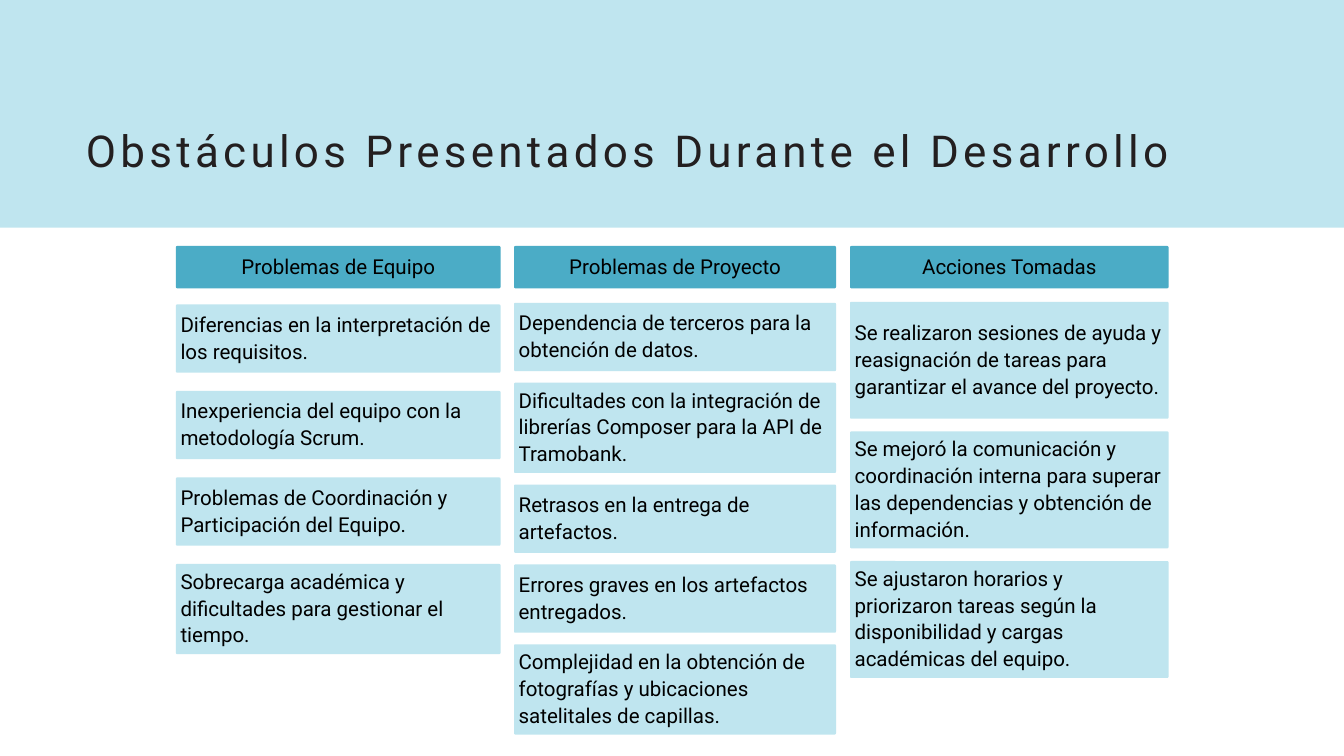
from pptx import Presentation
from pptx.dml.color import RGBColor
from pptx.enum import shapes, text
from pptx.util import Cm, Pt

PALE, TEAL, BLACK, INK = "BFE5EF", "4BACC6", "000000", "231F20"
TITLE = "Obstáculos Presentados Durante el Desarrollo"
COLUMNS = [
    dict(head="Problemas de Equipo", left=6.65, width=12.27, top=11.51, gap=0.69, cards=[
        ("Diferencias en la interpretación de los requisitos.", 2.58),
        ("Inexperiencia del equipo con la metodología Scrum.", 2.58),
        ("Problemas de Coordinación y Participación del Equipo.", 2.58),
        ("Sobrecarga académica y dificultades para gestionar el tiempo.", 3.41),
    ]),
    dict(head="Problemas de Proyecto", left=19.43, width=12.17, top=11.45, gap=0.44, cards=[
        ("Dependencia de terceros para la obtención de datos.", 2.58),
        ("Dificultades con la integración de librerías Composer para la API de Tramobank.", 3.41),
        ("Retrasos en la entrega de artefactos.", 2.58),
        ("Errores graves en los artefactos entregados.", 2.58),
        ("Complejidad en la obtención de fotografías y ubicaciones satelitales de capillas.", 3.41),
    ]),
    dict(head="Acciones Tomadas", left=32.13, width=12.04, top=11.41, gap=0.48, cards=[
        ("Se realizaron sesiones de ayuda y reasignación de tareas para garantizar "
         "el avance del proyecto.", 4.42),
        ("Se mejoró la comunicación y coordinación interna para superar las dependencias "
         "y obtención de información.", 4.42),
        ("Se ajustaron horarios y priorizaron tareas según la disponibilidad y cargas "
         "académicas del equipo.", 4.42),
    ]),
]
HEAD_TOP, HEAD_HEIGHT, RADIUS = 9.3, 1.6, 0.05


def rgb(value):
    return RGBColor.from_string(value)


def write(sp, words, size=22, color=BLACK, leading=28.6, spacing=0,
          align=text.PP_ALIGN.LEFT, anchor=text.MSO_ANCHOR.MIDDLE, insets=(0.16, 0, 0.16, 0.16)):
    tf = sp.text_frame
    tf.word_wrap = True
    tf.vertical_anchor = anchor
    tf.margin_left, tf.margin_top, tf.margin_right, tf.margin_bottom = map(Cm, insets)
    p = tf.paragraphs[0]
    p.alignment = align
    p.line_spacing = Pt(leading)
    r = p.add_run()
    r.text = words
    r.font.name = "Roboto"
    r.font.size = Pt(size)
    r.font.color.rgb = rgb(color)
    if spacing:
        r.font._element.set("spc", str(round(spacing * 100)))


def block(s, kind, left, top, width, height, fill):
    sp = s.shapes.add_shape(kind, Cm(left), Cm(top), Cm(width), Cm(height))
    sp.shadow.inherit = False
    sp.fill.solid()
    sp.fill.fore_color.rgb = rgb(fill)
    sp.line.fill.background()
    return sp


def card(s, words, left, top, width, height, fill, **fmt):
    sp = block(s, shapes.MSO_SHAPE.ROUNDED_RECTANGLE, left, top, width, height, fill)
    sp.adjustments[0] = RADIUS / height
    write(sp, words, **fmt)


def main():
    prs = Presentation()
    prs.slide_width, prs.slide_height = Cm(50.8), Cm(28.58)
    s = prs.slides.add_slide(prs.slide_layouts[6])
    block(s, shapes.MSO_SHAPE.RECTANGLE, 0, 0, 50.8, 8.61, PALE)
    title = s.shapes.add_textbox(Cm(3.25), Cm(4.37), Cm(44.32), Cm(2.24))
    write(title, TITLE, size=47.1, color=INK, leading=65, spacing=4.6,
          anchor=text.MSO_ANCHOR.TOP, insets=(0, 0, 0, 0))

    for col in COLUMNS:
        left, width, top = col["left"], col["width"], col["top"]
        card(s, col["head"], left, HEAD_TOP, width, HEAD_HEIGHT, TEAL,
             align=text.PP_ALIGN.CENTER)
        for words, height in col["cards"]:
            card(s, words, left, top, width, height, PALE)
            top += height + col["gap"]

    prs.save("out.pptx")


if __name__ == "__main__":
    main()
